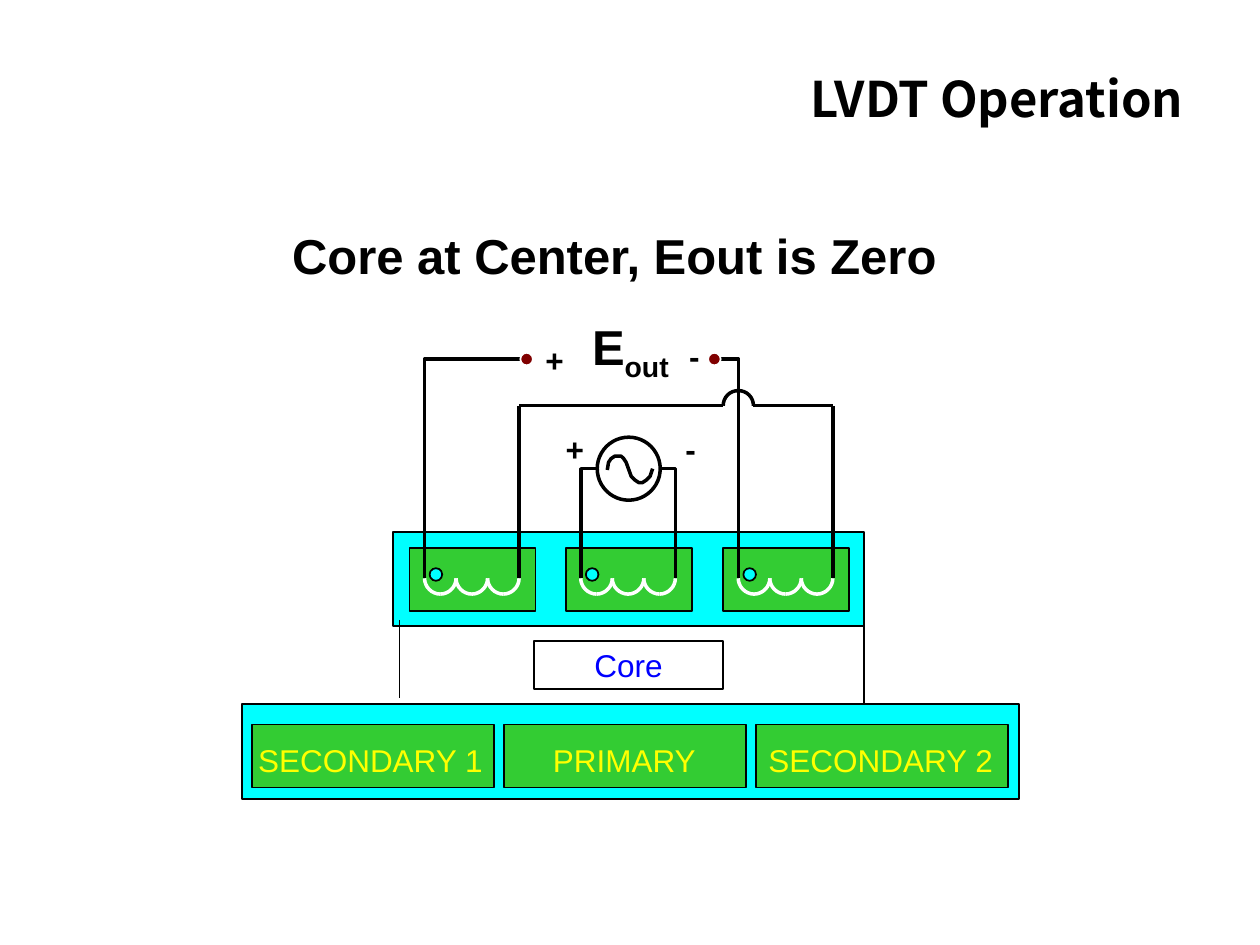
"""Build the LVDT Operation slide: a transformer schematic with the core at centre."""
import math

from lxml import etree
from pptx import Presentation, util as u
from pptx.dml.color import RGBColor
from pptx.enum import shapes, text
from pptx.oxml import ns

BLACK, WHITE, CYAN, GREEN = "000000", "FFFFFF", "00FFFF", "33CC33"
YELLOW, BLUE, MAROON = "FFFF00", "0000FF", "800000"
LEFT, CENTER, RIGHT = text.PP_ALIGN.LEFT, text.PP_ALIGN.CENTER, text.PP_ALIGN.RIGHT
UNITS_PER_INCH = 1000

HOUSINGS = [(3.12, 4.22, 3.74, 0.75), (1.92, 5.59, 6.17, 0.75)]
CORE = (4.24, 5.09, 1.5, 0.38)
WINDINGS = [
    ("SECONDARY 1", (2, 1.92), (1.95, 2.05), LEFT),
    ("PRIMARY", (4, 1.92), (4.08, 1.75), CENTER),
    ("SECONDARY 2", (6, 2), (6, 2.08), LEFT),
]
COIL_LEFTS = [3.37, 4.61, 5.86]
COIL_TOP, COIL_WIDTH, LOOPS = 4.59, 0.75, 3
OUTPUT_Y, LINK_Y, SOURCE_Y = 2.85, 3.22, 3.72
SOURCE_X, SOURCE_RADIUS = 4.99, 0.25
HOP_X, HOP_RADIUS = 5.86, 0.12
GUIDES = [(3.17, 4.92, 5.54), (6.86, 4.97, 5.59)]
TERMINALS = [4.18, 5.67]
SIGNS = [("+", 4.23, 2.69, 0.35), ("-", 5.37, 2.66, 0.29),
         ("+", 4.39, 3.4, 0.35), ("-", 5.34, 3.4, 0.29)]
SINE = [(-0.17, 0.01), (-0.16, -0.05), (-0.14, -0.08), (-0.11, -0.1), (-0.06, -0.1),
        (-0.04, -0.08), (-0.02, -0.05), (0.02, 0.06), (0.05, 0.09), (0.08, 0.11),
        (0.11, 0.11), (0.14, 0.09), (0.17, 0.06), (0.19, 0)]


def color(value):
    return RGBColor.from_string(value)


def outline(shape, line, weight):
    shape.line.color.rgb = color(line)
    shape.line.width = u.Pt(weight)


def add_preset(slide, kind, box, fill, line=BLACK, weight=1):
    shape = slide.shapes.add_shape(kind, *map(u.Inches, box))
    shape.shadow.inherit = False
    shape.fill.solid()
    shape.fill.fore_color.rgb = color(fill)
    outline(shape, line, weight)
    return shape


def add_rectangle(slide, box, fill):
    return add_preset(slide, shapes.MSO_SHAPE.RECTANGLE, box, fill)


def add_circle(slide, x, y, radius, fill, line=BLACK, weight=1):
    box = (x - radius, y - radius, 2 * radius, 2 * radius)
    return add_preset(slide, shapes.MSO_SHAPE.OVAL, box, fill, line, weight)


def add_path(slide, points, line=BLACK):
    start, *rest = [(x * UNITS_PER_INCH, y * UNITS_PER_INCH) for x, y in points]
    builder = slide.shapes.build_freeform(*start, scale=u.Inches(1) / UNITS_PER_INCH)
    builder.add_line_segments(rest, close=False)
    shape = builder.convert_to_shape()
    shape.shadow.inherit = False
    shape.fill.background()
    outline(shape, line, 2)


def add_line(slide, x1, y1, x2, y2, weight):
    line = slide.shapes.add_connector(
        shapes.MSO_CONNECTOR.STRAIGHT, *map(u.Inches, (x1, y1, x2, y2)))
    outline(line, BLACK, weight)
    etree.SubElement(line._element.spPr, ns.qn("a:effectLst"))


def arc(x, y, radius, direction):
    """Return half-circle points from left to right; direction 1 sags and -1 rises."""
    angles = [math.pi * step / 16 for step in range(17)]
    return [(x - radius * math.cos(a), y + direction * radius * math.sin(a)) for a in angles]


def write(shape, runs, size, ink, bold=False, align=LEFT, font="Arial", spacing=None):
    paragraph = shape.text_frame.paragraphs[0]
    paragraph.alignment = align
    if spacing:
        paragraph.line_spacing = spacing
    for words, baseline in runs:
        run = paragraph.add_run()
        run.text = words
        run.font.size, run.font.bold, run.font.name = u.Pt(size), bold, font
        run.font.color.rgb = color(ink)
        if baseline:
            run.font._element.set("baseline", str(baseline))


def add_text(slide, box, runs, size, ink, wrap=False, **style):
    shape = slide.shapes.add_textbox(*map(u.Inches, box))
    shape.text_frame.word_wrap = wrap
    shape.text_frame.auto_size = text.MSO_AUTO_SIZE.SHAPE_TO_FIT_TEXT
    write(shape, runs, size, ink, **style)


def add_headings(slide):
    title = slide.shapes.title
    title.left, title.top, title.width, title.height = map(u.Inches, (3.66, 0.49, 5.83, 0.63))
    title.fill.solid()
    title.fill.fore_color.rgb = color(WHITE)
    title.text_frame.vertical_anchor = text.MSO_ANCHOR.TOP
    write(title, [("LVDT Operation", 0)], 28, BLACK, True, RIGHT, "Noto Sans CJK KR")
    add_text(slide, (1, 1.79, 7.75, 0.58), [("Core at Center, Eout is Zero", 0)],
             28, BLACK, wrap=True, bold=True, align=CENTER, spacing=0.9)


def add_body(slide):
    for box in HOUSINGS:
        add_rectangle(slide, box, CYAN)
    for name, (left, width), (text_left, text_width), align in WINDINGS:
        add_rectangle(slide, (left, 5.75, width, 0.5), GREEN)
        add_text(slide, (text_left, 5.83, text_width, 0.4), [(name, 0)],
                 18, YELLOW, wrap=True, align=align)
    for x, top, bottom in GUIDES:
        add_line(slide, x, top, x, bottom, 1)
    add_rectangle(slide, CORE, WHITE)
    add_text(slide, (4.62, 5.08, 0.74, 0.4), [("Core", 0)], 18, BLUE)


def add_coils(slide):
    radius = COIL_WIDTH / LOOPS / 2
    for left in COIL_LEFTS:
        add_rectangle(slide, (left - 0.12, 4.35, 1, 0.5), GREEN)
        for loop in range(LOOPS):
            points = arc(left + radius * (2 * loop + 1), COIL_TOP, radius, 1)
            for quarter in (points[:9], points[8:]):
                add_path(slide, quarter, WHITE)
        add_circle(slide, left + 0.09, 4.56, 0.05, CYAN)


def add_wiring(slide):
    first, primary, second = COIL_LEFTS
    first_end, primary_end, second_end = (left + COIL_WIDTH for left in COIL_LEFTS)
    for end, terminal in zip((first, second), TERMINALS):
        add_path(slide, [(end, COIL_TOP), (end, OUTPUT_Y), (terminal, OUTPUT_Y)])
    for end, side in ((primary, -1), (primary_end, 1)):
        add_path(slide, [(end, COIL_TOP), (end, SOURCE_Y),
                         (SOURCE_X + side * SOURCE_RADIUS, SOURCE_Y)])
    for end, side in ((first_end, -1), (second_end, 1)):
        add_line(slide, end, COIL_TOP, end, LINK_Y, 2)
        add_line(slide, end, LINK_Y, HOP_X + side * HOP_RADIUS, LINK_Y, 2)
    add_path(slide, arc(HOP_X, LINK_Y, HOP_RADIUS, -1))
    add_circle(slide, SOURCE_X, SOURCE_Y, SOURCE_RADIUS, WHITE, weight=2)
    add_path(slide, [(SOURCE_X + x, SOURCE_Y + y) for x, y in SINE])
    for x in TERMINALS:
        add_circle(slide, x, OUTPUT_Y, 0.05, MAROON, WHITE)


def add_signs(slide):
    add_text(slide, (4.6, 2.47, 0.81, 0.57), [("E", 0), ("out", -25000)],
             28, BLACK, bold=True, spacing=0.89)
    for sign, left, top, width in SIGNS:
        add_text(slide, (left, top, width, 0.37), [(sign, 0)],
                 18, BLACK, bold=True, spacing=0.89)


def main():
    presentation = Presentation()
    presentation.slide_width, presentation.slide_height = u.Inches(10), u.Inches(7.5)
    slide = presentation.slides.add_slide(presentation.slide_layouts[5])
    for add_part in (add_headings, add_body, add_coils, add_wiring, add_signs):
        add_part(slide)
    presentation.save("out.pptx")


if __name__ == "__main__":
    main()
